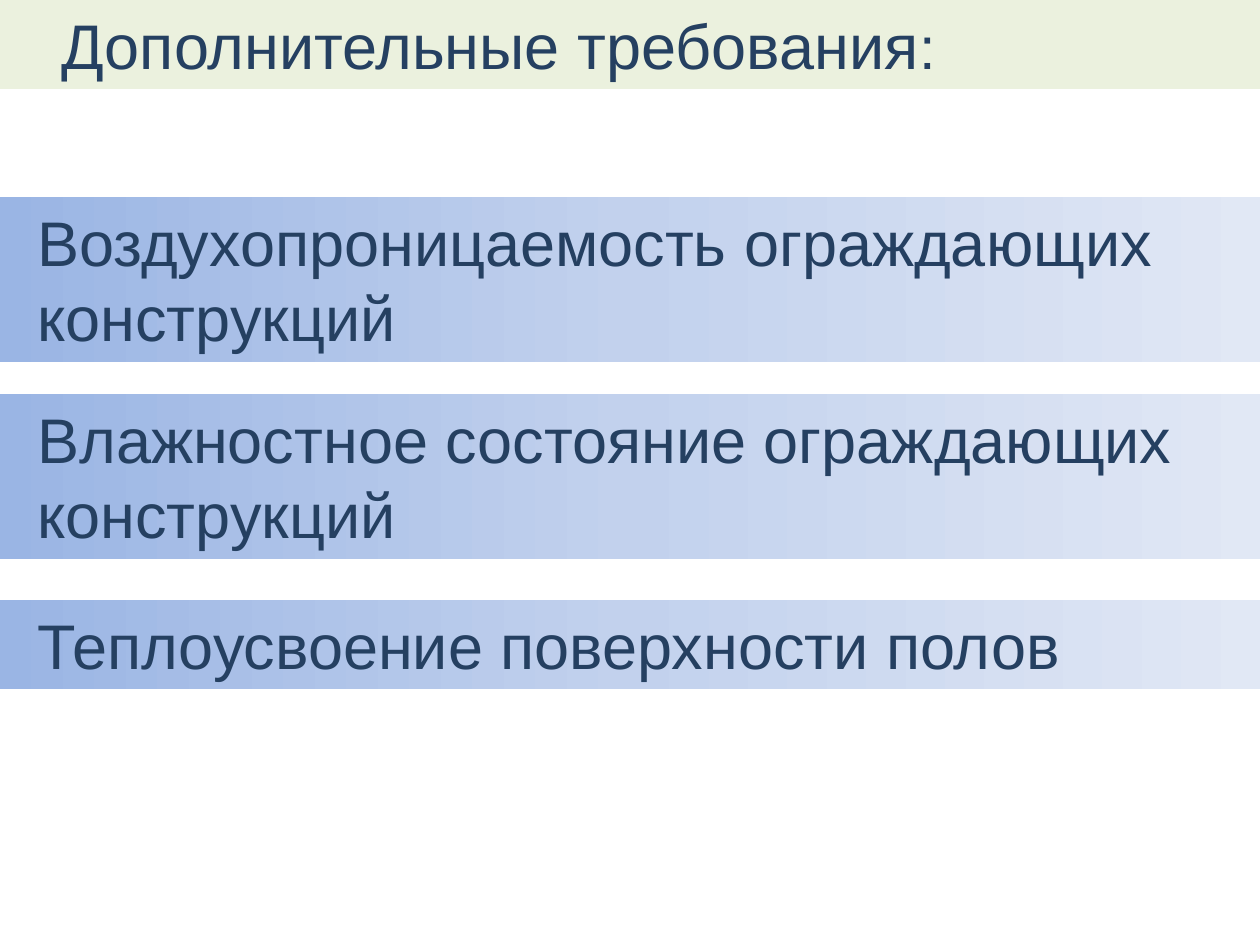
"""Build the slide listing additional requirements as gradient bands under a title."""
from copy import deepcopy

from pptx import Presentation
from pptx import util as u
from pptx.dml.color import RGBColor
from pptx.enum import shapes, text

TITLE = ("Дополнительные требования", ":")
BANDS = [
    ("Воздухопроницаемость ограждающих конструкций", 197, 165),
    ("Влажностное состояние ограждающих конструкций", 394, 165),
    ("Теплоусвоение поверхности полов", 600, 89),
]
GRADIENT = [(0, "9AB5E4"), (0.5, "C2D1ED"), (1, "E1E8F5")]
INK, TITLE_FILL = "254061", "EBF1DE"
WIDTH, HEIGHT, TITLE_HEIGHT = 1260, 945, 89
TITLE_INDENT, BAND_INDENT = 49, 25


def px(n):
    return u.Emu(round(n * 914400 / 126))


def rgb(value):
    return RGBColor.from_string(value)


def place(sp, top, height):
    sp.left, sp.top, sp.width, sp.height = px(0), px(top), px(WIDTH), px(height)


def format_text(tf, indent):
    tf.word_wrap = True
    tf.auto_size = text.MSO_AUTO_SIZE.NONE
    tf.vertical_anchor = text.MSO_ANCHOR.TOP
    p = tf.paragraphs[0]
    p.alignment = text.PP_ALIGN.LEFT
    p._p.get_or_add_pPr().set("marL", str(px(indent)))
    for r in p.runs:
        r.font.name, r.font.size = "Arial", u.Pt(36)
        r.font.color.rgb = rgb(INK)


def fill_gradient(sp):
    sp.fill.gradient()
    sp.fill.gradient_angle = 0
    first = sp._element.spPr.find(".//{*}gs")
    first.addnext(deepcopy(first))
    for stop, (position, color) in zip(sp.fill.gradient_stops, GRADIENT):
        stop.position = position
        stop.color.rgb = rgb(color)


def main():
    prs = Presentation()
    prs.slide_width, prs.slide_height = px(WIDTH), px(HEIGHT)
    s = prs.slides.add_slide(prs.slide_layouts[5])

    title = s.shapes.title
    place(title, 0, TITLE_HEIGHT)
    title.fill.solid()
    title.fill.fore_color.rgb = rgb(TITLE_FILL)
    p = title.text_frame.paragraphs[0]
    for part in TITLE:
        p.add_run().text = part
    format_text(title.text_frame, TITLE_INDENT)
    p.runs[-1].font.size = u.Pt(34)

    for label, top, height in BANDS:
        sp = s.shapes.add_shape(shapes.MSO_SHAPE.RECTANGLE, 0, 0, 0, 0)
        place(sp, top, height)
        sp.shadow.inherit = False
        sp.line.fill.background()
        fill_gradient(sp)
        sp.text_frame.text = label
        format_text(sp.text_frame, BAND_INDENT)

    prs.save("out.pptx")


if __name__ == "__main__":
    main()
